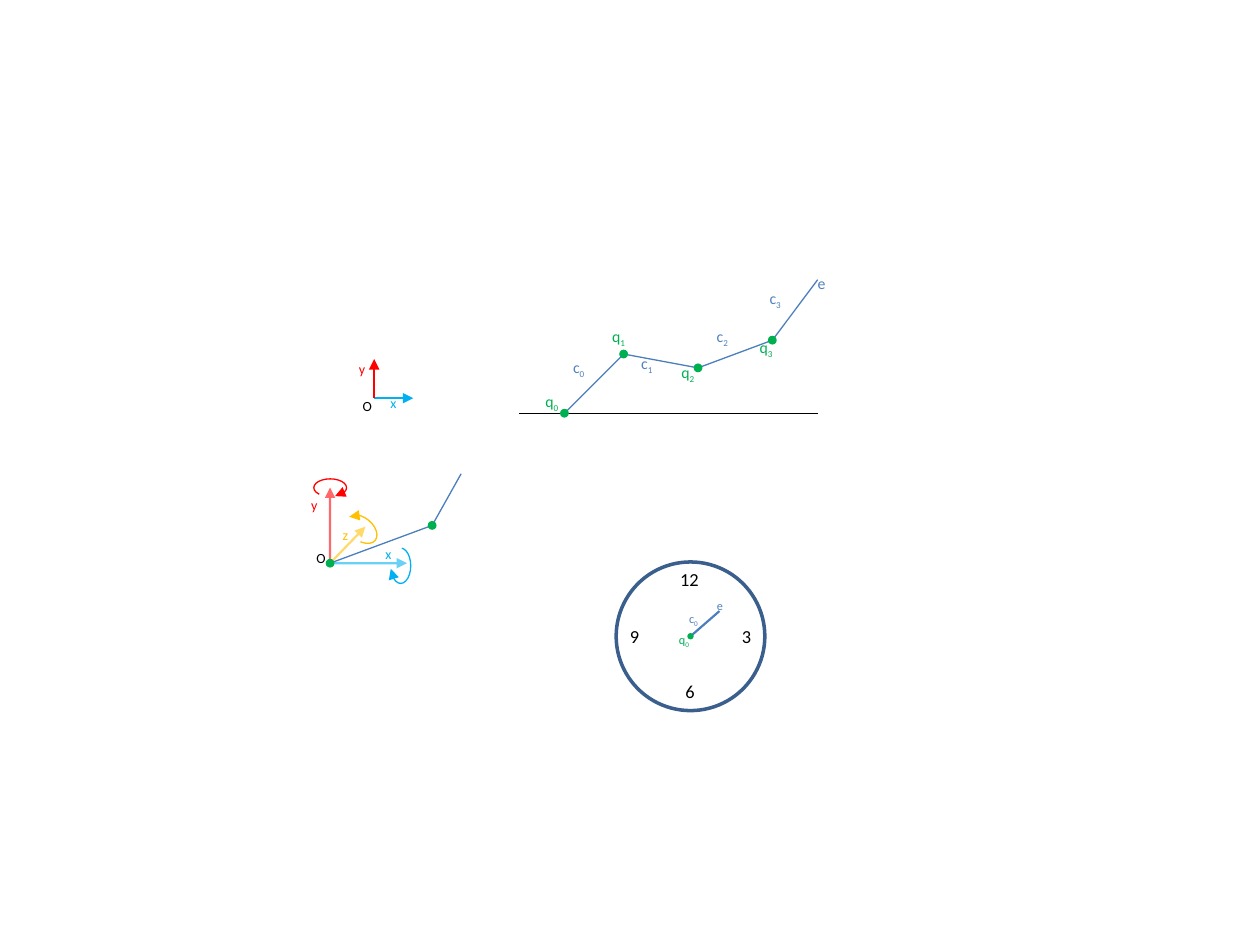
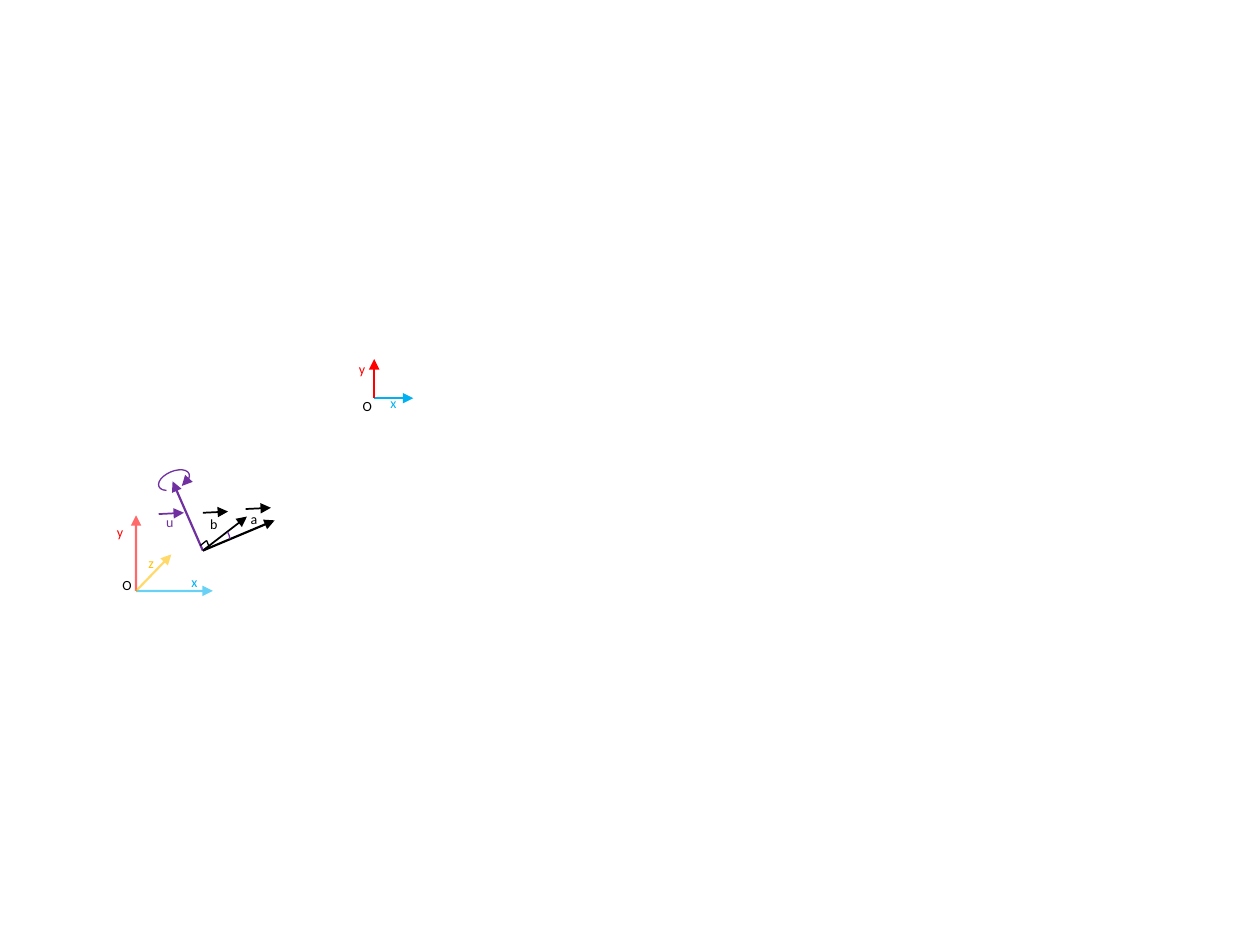
from dataclasses import dataclass
from itertools import pairwise

from lxml import etree
from pptx import Presentation
from pptx import util as u
from pptx.dml.color import RGBColor
from pptx.enum import shapes, text
from pptx.oxml.ns import qn

Point = tuple[float, float]


@dataclass(frozen=True)
class Theme:
    font: str = "Calibri"
    black: str = "000000"
    white: str = "FFFFFF"
    red: str = "FF0000"
    sky: str = "00B0F0"
    gold: str = "FFC000"
    green: str = "00B050"
    violet: str = "7030A0"
    blue: str = "4F81BD"
    link: str = "4B7EBC"
    rim: str = "3A5F8C"
    tiny: float = 7
    small: float = 8
    mid: float = 9
    large: float = 10.5
    thin: float = 0.75
    fine: float = 1
    bold: float = 1.25
    thick: float = 2
    faded: int = 59


T = Theme()


@dataclass
class Label:
    words: str
    left: float
    top: float
    width: float
    height: float
    color: str
    size: float = T.small
    sub: str = ""
    wrap: bool = False


@dataclass
class Line:
    start: Point
    end: Point
    color: str = T.link
    width: float = T.thin
    tip: bool = False
    alpha: int = 100


@dataclass
class Arc:
    left: float
    top: float
    width: float
    height: float
    turn: float
    start: float
    end: float
    color: str
    tip: str = ""


def apply(target: object, values: dict) -> None:
    for name, value in values.items():
        setattr(target, name, value)


def stroke(shape, color: str, width: float, tip: str = "", alpha: int = 100) -> None:
    shape.line.color.rgb = RGBColor.from_string(color)
    shape.line.width = u.Pt(width)
    edge = shape._element.spPr.find(qn("a:ln"))
    if alpha < 100:
        tone = edge.find(".//" + qn("a:srgbClr"))
        etree.SubElement(tone, qn("a:alpha")).set("val", str(alpha * 1000))
    if tip:
        etree.SubElement(edge, qn(f"a:{tip}End")).set("type", "triangle")


def draw_line(slide, item: Line) -> None:
    ends = [u.Inches(n) for n in (*item.start, *item.end)]
    line = slide.shapes.add_connector(shapes.MSO_CONNECTOR.STRAIGHT, *ends)
    stroke(line, item.color, item.width, "tail" if item.tip else "", item.alpha)
    etree.SubElement(line._element.spPr, qn("a:effectLst"))


def draw_label(slide, item: Label) -> None:
    area = [u.Inches(n) for n in (item.left, item.top, item.width, item.height)]
    frame = slide.shapes.add_textbox(*area).text_frame
    apply(frame, {"word_wrap": item.wrap,
                  "auto_size": text.MSO_AUTO_SIZE.SHAPE_TO_FIT_TEXT})
    look = {"name": T.font, "size": u.Pt(item.size)}
    for words, base in ((item.words, 0), (item.sub, -25000)):
        if words:
            run = frame.paragraphs[0].add_run()
            run.text = words
            apply(run.font, look)
            run.font.color.rgb = RGBColor.from_string(item.color)
            if base:
                run._r.get_or_add_rPr().set("baseline", str(base))


def draw_arc(slide, item: Arc) -> None:
    area = [u.Inches(n) for n in (item.left, item.top, item.width, item.height)]
    arc = slide.shapes.add_shape(shapes.MSO_SHAPE.ARC, *area)
    arc.shadow.inherit = False
    arc.rotation = item.turn
    arc.adjustments[0] = item.start * 0.6
    arc.adjustments[1] = item.end * 0.6
    arc.fill.background()
    stroke(arc, item.color, T.thin, item.tip)


def draw_disc(slide, mid: Point, size: float, fill: str, rim: str = "") -> None:
    area = [u.Inches(n) for n in (mid[0] - size / 2, mid[1] - size / 2, size, size)]
    disc = slide.shapes.add_shape(shapes.MSO_SHAPE.OVAL, *area)
    disc.shadow.inherit = False
    disc.fill.solid()
    disc.fill.fore_color.rgb = RGBColor.from_string(fill)
    if rim:
        stroke(disc, rim, T.thick)
    else:
        disc.line.fill.background()


def draw_all(slide, items: list) -> None:
    tools = {Line: draw_line, Label: draw_label, Arc: draw_arc}
    for item in items:
        tools[type(item)](slide, item)


def draw_plane(slide) -> None:
    root = (2.97, 3.16)
    draw_all(slide, [
        Label("y", 2.75, 2.81, 0.25, 0.24, T.red),
        Label("O", 2.78, 3.11, 0.28, 0.24, T.black),
        Label("x", 3, 3.08, 0.25, 0.24, T.sky),
        Line(root, (3.28, 3.16), T.sky, T.bold, True),
        Line(root, (2.97, 2.85), T.red, T.bold, True),
    ])


def draw_space(slide, root: Point) -> None:
    x, y = root
    draw_all(slide, [
        Label("z", x, y - 0.34, 0.22, 0.24, T.gold, wrap=True),
        Label("x", x + 0.34, y - 0.19, 0.5, 0.47, T.sky),
        Label("y", x - 0.25, y - 0.58, 0.51, 0.47, T.red),
        Label("O", x - 0.2, y - 0.16, 0.19, 0.24, T.black, wrap=True),
    ])
    for dx, dy, color in ((0.61, 0, T.sky), (0, -0.6, T.red), (0.28, -0.29, T.gold)):
        draw_line(slide, Line(root, (x + dx, y + dy), color, T.bold, True, T.faded))


def draw_chain(slide) -> None:
    joints = [(4.48, 3.28), (4.95, 2.81), (5.54, 2.92), (6.13, 2.7)]
    draw_line(slide, Line((4.12, 3.28), (6.49, 3.28), T.black))
    for start, end in pairwise([*joints, (6.49, 2.22)]):
        draw_line(slide, Line(start, end))
    for joint in joints:
        draw_disc(slide, joint, 0.07, T.green)
    marks = {
        ("q", T.green, 0.31): [(4.23, 3.06), (4.76, 2.54), (5.31, 2.83), (5.93, 2.63)],
        ("c", T.blue, 0.3): [(4.45, 2.79), (4.99, 2.76), (5.59, 2.54), (6.01, 2.24)],
    }
    for (name, color, width), spots in marks.items():
        for num, (x, y) in enumerate(spots):
            draw_label(slide, Label(name, x, y, width, 0.25, color, T.mid, str(num)))
    draw_label(slide, Label("e", 6.39, 2.12, 0.27, 0.25, T.blue, T.mid))


def draw_clock(slide) -> None:
    hub = (5.48, 5.05)
    draw_disc(slide, hub, 1.18, T.white, T.rim)
    for hour, x, y, width in (("12", 5.3, 4.46, 0.36), ("6", 5.34, 5.35, 0.28),
                              ("3", 5.79, 4.91, 0.28), ("9", 4.9, 4.91, 0.28)):
        draw_label(slide, Label(hour, x, y, width, 0.29, T.black, T.large))
    draw_line(slide, Line(hub, (5.71, 4.85), width=T.bold))
    draw_disc(slide, hub, 0.05, T.green)
    draw_all(slide, [
        Label("q", 5.29, 4.97, 0.29, 0.22, T.green, T.tiny, "0"),
        Label("c", 5.37, 4.8, 0.28, 0.22, T.blue, T.tiny, "0"),
        Label("e", 5.59, 4.7, 0.25, 0.22, T.blue, T.tiny),
    ])


def draw_joint(slide) -> None:
    root, elbow = (2.62, 4.47), (3.43, 4.17)
    draw_line(slide, Line(elbow, (3.66, 3.76)))
    draw_space(slide, root)
    draw_all(slide, [
        Arc(2.73, 4.11, 0.28, 0.18, 40, 185, 55, T.gold, "head"),
        Arc(3.1, 4.35, 0.16, 0.28, 180, 93.5, 343, T.sky, "tail"),
        Arc(2.49, 3.8, 0.26, 0.14, 180, 329.1, 239.9, T.red, "tail"),
        Line(elbow, root),
    ])
    for spot in (root, elbow):
        draw_disc(slide, spot, 0.07, T.green)


def draw_spin(slide) -> None:
    root, nook = (1.61, 4.37), (1.64, 4.29)
    draw_space(slide, (1.08, 4.69))
    draw_all(slide, [
        Label("b", 1.57, 4.04, 0.22, 0.24, T.black, wrap=True),
        Label("a", 1.89, 4, 0.26, 0.24, T.black),
        Label("u", 1.22, 4.03, 0.26, 0.24, T.violet),
        Line(root, (2.18, 4.13), T.black, T.bold, True),
        Line(root, (1.37, 3.82), T.violet, T.bold, True),
        Line(root, (1.96, 4.1), T.black, T.fine, True),
        Arc(1.25, 3.74, 0.26, 0.14, 156.8, 329.1, 239.9, T.violet, "tail"),
        Arc(1.48, 4.15, 0.35, 0.32, 150.7, 179.2, 197.8, T.violet),
        Line((1.59, 4.33), nook, T.black),
        Line((1.66, 4.34), nook, T.black),
    ])
    for x, y, color in ((1.26, 4.08, T.violet), (1.61, 4.07, T.black), (1.95, 4.04, T.black)):
        draw_line(slide, Line((x, y), (x + 0.2, y - 0.01), color, T.fine, True))


def main() -> None:
    deck = Presentation()
    apply(deck, {"slide_width": u.Inches(10), "slide_height": u.Inches(7.5)})
    for parts in ((draw_chain, draw_plane, draw_clock, draw_joint),
                  (draw_plane, draw_spin)):
        slide = deck.slides.add_slide(deck.slide_layouts[6])
        for part in parts:
            part(slide)
    deck.save("out.pptx")


main()
